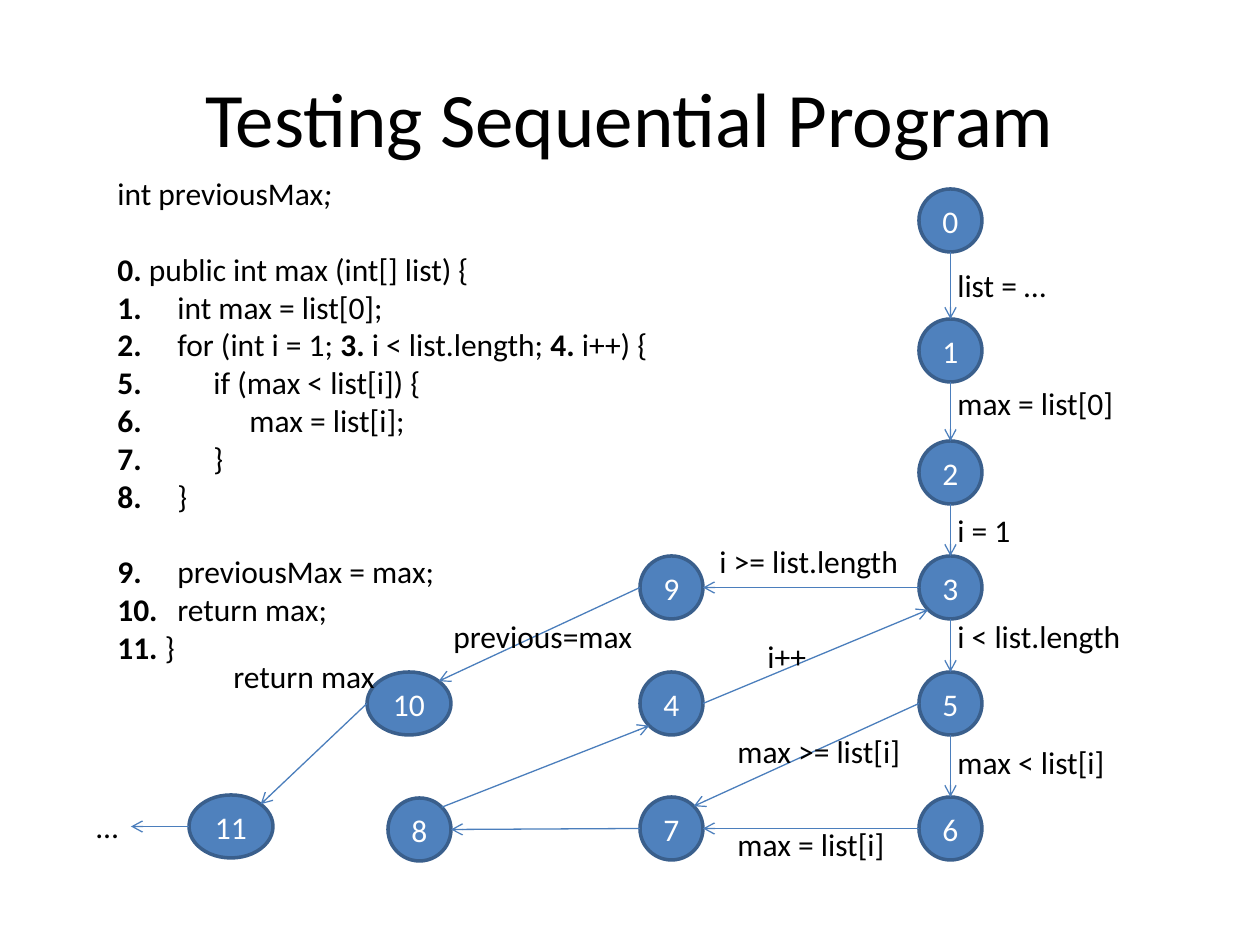
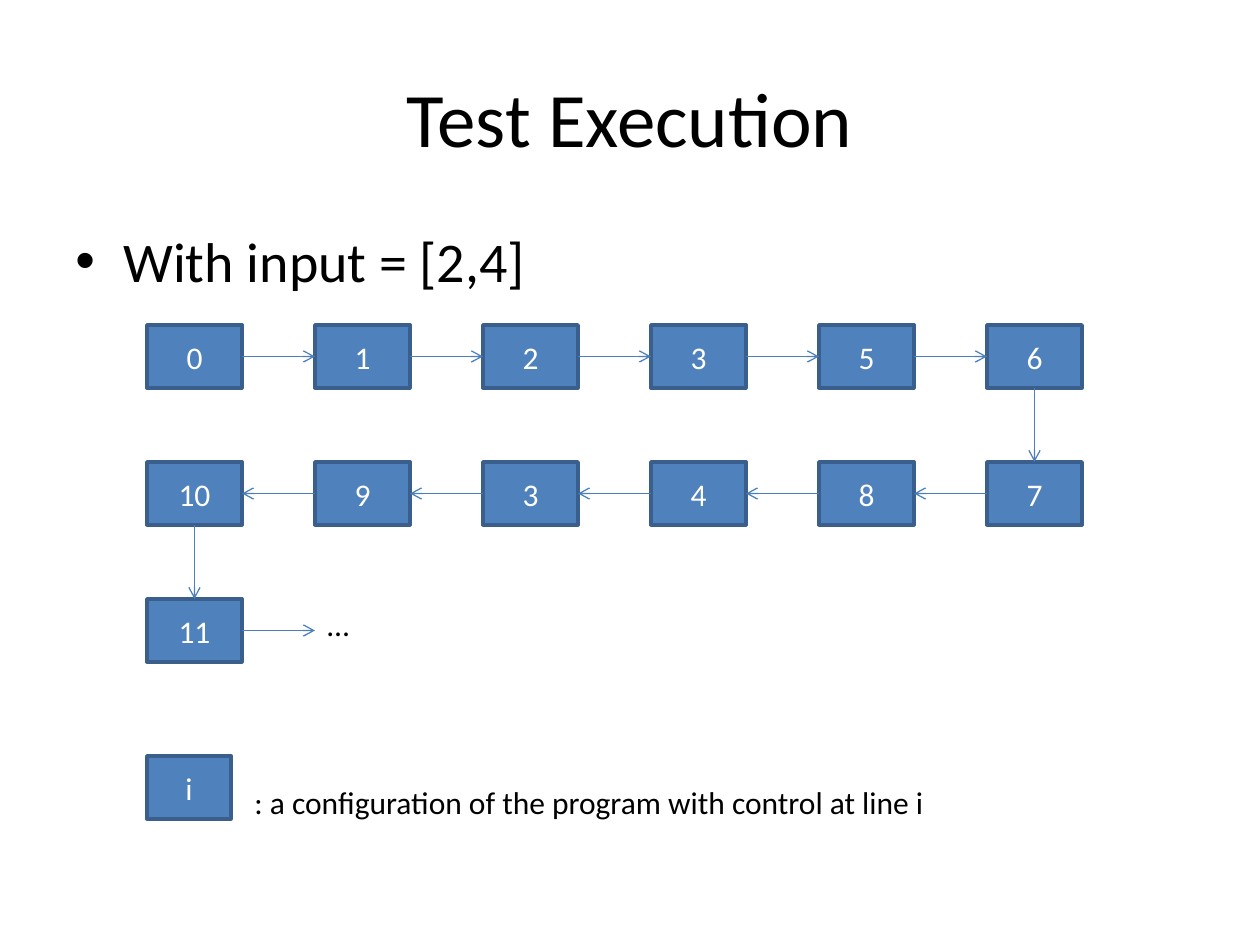
import pptx
import pptx.util
import pptx.dml.color
import pptx.enum.shapes
import pptx.enum.text
import lxml.etree
import math

# Shared scale, colours and type
SCALE = 914400 / 126
FILL, EDGE, ARROW = "4F81BD", "3A5F8C", "4B7EBC"
BLACK, WHITE = "000000", "FFFFFF"
FONT = "Calibri"
KIND = pptx.enum.shapes.MSO_SHAPE
ALIGN = pptx.enum.text.PP_ALIGN
MIDDLE = pptx.enum.text.MSO_ANCHOR.MIDDLE
GROW = pptx.enum.text.MSO_AUTO_SIZE.SHAPE_TO_FIT_TEXT
TITLE = (63, 38, 1134, 157)
SIDES = {"e": (1, 0), "w": (-1, 0), "n": (0, -1), "s": (0, 1),
         "ne": (1, -1), "nw": (-1, -1), "se": (1, 1), "sw": (-1, 1)}


def px(n):
    return pptx.util.Emu(round(n * SCALE))


def color(code):
    return pptx.dml.color.RGBColor.from_string(code)


def add(node, tag, **attrs):
    """Append a drawing element to an XML node."""
    return lxml.etree.SubElement(node, pptx.oxml.ns.qn(tag), attrs)


def write(par, text, size=18, ink=BLACK, bold=False, italic=False, align=None):
    """Append one formatted run to a paragraph."""
    run = par.add_run()
    run.text = text
    font = run.font
    font.name, font.size = FONT, pptx.util.Pt(size)
    font.bold, font.italic = bold, italic
    font.color.rgb = color(ink)
    if align is not None:
        par.alignment = align


def frame(slide, box):
    """Add an empty text box and return its text frame."""
    area = slide.shapes.add_textbox(*map(px, box)).text_frame
    area.word_wrap = True
    return area


def label(slide, text, x, y, w):
    """Add a one-line label; w leaves slack beyond the text."""
    area = frame(slide, (x, y, w, 51))
    area.auto_size = GROW
    write(area.paragraphs[0], text)


def node(slide, kind, text, box):
    shape = slide.shapes.add_shape(kind, *map(px, box))
    shape.shadow.inherit = False
    shape.fill.solid()
    shape.fill.fore_color.rgb = color(FILL)
    shape.line.color.rgb = color(EDGE)
    shape.line.width = pptx.util.Pt(2)
    area = shape.text_frame
    area.vertical_anchor = MIDDLE
    area.margin_left = area.margin_right = 0
    write(area.paragraphs[0], text, ink=WHITE, align=ALIGN.CENTER)


def port(box, side):
    """Point on the edge of a node; diagonal sides lie on its ellipse."""
    x, y, w, h = box
    dx, dy = SIDES[side]
    size = math.hypot(dx, dy)
    return x + w / 2 * (1 + dx / size), y + h / 2 * (1 + dy / size)


def arrow(slide, start, end):
    line = slide.shapes.add_connector(
        pptx.enum.shapes.MSO_CONNECTOR.STRAIGHT, *map(px, (*start, *end)))
    line.line.color.rgb = color(ARROW)
    line.line.width = pptx.util.Pt(0.75)
    add(line.line._get_or_add_ln(), "a:tailEnd", type="arrow")
    add(line._element.spPr, "a:effectLst")


def page(deck, text):
    """Add a slide with the shared title."""
    slide = deck.slides.add_slide(deck.slide_layouts[5])
    title = slide.shapes.title
    title.left, title.top, title.width, title.height = map(px, TITLE)
    title.text_frame.vertical_anchor = MIDDLE
    write(title.text_frame.paragraphs[0], text, size=44, align=ALIGN.CENTER)
    return slide


# Code listing: number, depth, then text; a list holds plain and bold in turn
CODE = [
    ("0.", 0, ["public int max (int[] list) {"]),
    ("1.", 1, ["int max = list[0];"]),
    ("2.", 1, ["for (int i = 1; ", "3.", " i < list.length; ", "4.", " i++) {"]),
    ("5.", 2, ["if (max < list[i]) {"]),
    ("6.", 3, ["max = list[i];"]),
    ("7.", 2, ["}"]),
    ("8.", 1, ["}"]),
    ("9.", 1, ["previousMax = max;"]),
    ("10.", 1, ["return max;"]),
    ("11.", 0, ["}"]),
]


def listing(slide, box):
    area = frame(slide, box)
    par = area.paragraphs[0]
    write(par, "int previousMax")
    write(par, ";", italic=True)
    for mark, depth, parts in CODE:
        par = area.add_paragraph()
        if mark in ("0.", "9."):
            par.space_before = pptx.util.Pt(21.6)
        if depth:
            left = px(24 + 36 * depth)
            props = par._p.get_or_add_pPr()
            props.set("marL", str(left))
            props.set("indent", str(-left))
        write(par, mark, bold=True)
        write(par, "\t" if depth else " ")
        for i, part in enumerate(parts):
            write(par, part, bold=i % 2 == 1)


# Control flow graph: left, top and width of each node within the graph box
NODES = {
    "0": (835, 0, 63), "1": (835, 130, 63), "2": (835, 252, 63),
    "3": (835, 367, 63), "5": (835, 483, 63), "6": (835, 608, 63),
    "9": (556, 367, 63), "4": (556, 483, 63), "7": (556, 608, 63),
    "8": (304, 609, 63), "10": (283, 483, 84), "11": (105, 606, 84),
}
EDGES = [
    ("0", "s", "1", "n"), ("1", "s", "2", "n"), ("2", "s", "3", "n"),
    ("3", "s", "5", "n"), ("5", "s", "6", "n"), ("3", "w", "9", "e"),
    ("5", "w", "7", "ne"), ("6", "w", "7", "e"), ("7", "w", "8", "e"),
    ("8", "ne", "4", "sw"), ("4", "e", "3", "sw"), ("9", "w", "10", "ne"),
    ("10", "w", "11", "ne"),
]
NOTES = [
    ("list = …", 861, 71, 125), ("max = list[0]", 861, 189, 198),
    ("i = 1", 861, 316, 86), ("i < list.length", 861, 422, 198),
    ("max < list[i]", 861, 548, 182), ("i >= list.length", 623, 347, 212),
    ("max >= list[i]", 641, 537, 197), ("max = list[i]", 641, 630, 181),
    ("i++", 671, 442, 72), ("previous=max", 357, 422, 212),
    ("return max", 137, 462, 176), ("…", 0, 612, 54),
]


def graph(slide, box):
    x, y = box[:2]
    boxes = {k: (x + a, y + b, w, 63) for k, (a, b, w) in NODES.items()}
    for name, spot in boxes.items():
        node(slide, KIND.OVAL, name, spot)
    for a, out, b, into in EDGES:
        arrow(slide, port(boxes[a], out), port(boxes[b], into))
    start = port(boxes["11"], "w")
    arrow(slide, start, (x + 47, start[1]))
    for text, a, b, w in NOTES:
        label(slide, text, x + a, y + b, w)


def bullet(slide, box, text):
    par = frame(slide, box).paragraphs[0]
    par.space_before = pptx.util.Pt(6.4)
    props = par._p.get_or_add_pPr()
    props.set("marL", str(px(48)))
    props.set("indent", str(px(-48)))
    add(props, "a:buFont", typeface="Arial")
    add(props, "a:buChar", char="•")
    write(par, text, size=32)


def trace(slide, box, steps, cols=6):
    """Lay the steps out in rows that run right, then left."""
    x, y = box[:2]
    wide, high, dx, dy = 95, 63, 168, 137
    spots = []
    for i, step in enumerate(steps):
        row, col = divmod(i, cols)
        col = cols - 1 - col if row % 2 else col
        spots.append((x + col * dx, y + row * dy, wide, high))
        node(slide, KIND.RECTANGLE, step, spots[-1])
    for a, b in zip(spots, spots[1:]):
        sides = "sn" if a[1] != b[1] else "ew" if a[0] < b[0] else "we"
        arrow(slide, port(a, sides[0]), port(b, sides[1]))
    end = port(spots[-1], "e")
    arrow(slide, end, (x + dx, end[1]))
    label(slide, "…", x + dx, spots[-1][1], 54)


def legend(slide, box):
    x, y, w, h = box
    node(slide, KIND.RECTANGLE, "i", (x, y, 84, h))
    label(slide, ": a configuration of the program with control at line i",
          x + 95, y + 21, w - 95)


deck = pptx.Presentation()
deck.slide_width, deck.slide_height = px(1260), px(945)

# Slide 1: code and its control flow graph
slide = page(deck, "Testing Sequential Program")
listing(slide, (105, 168, 630, 509))
graph(slide, (84, 189, 1059, 672))

# Slide 2: one run of the program
slide = page(deck, "Test Execution")
bullet(slide, (63, 220, 1134, 624), "With input = [2,4]")
trace(slide, (147, 325, 935, 337), "0 1 2 3 5 6 7 8 4 3 9 10 11".split())
legend(slide, (147, 756, 808, 63))

deck.save("out.pptx")
